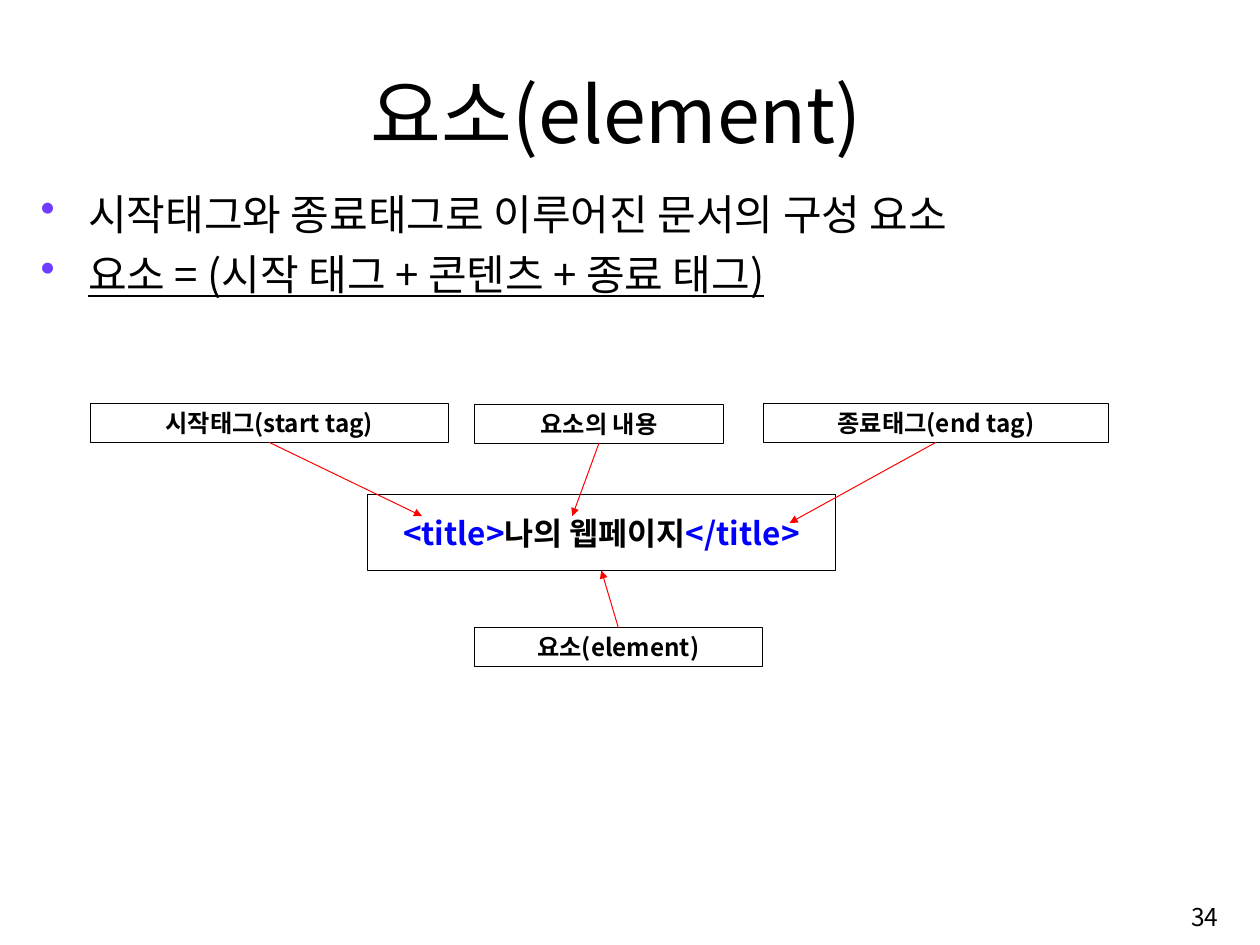
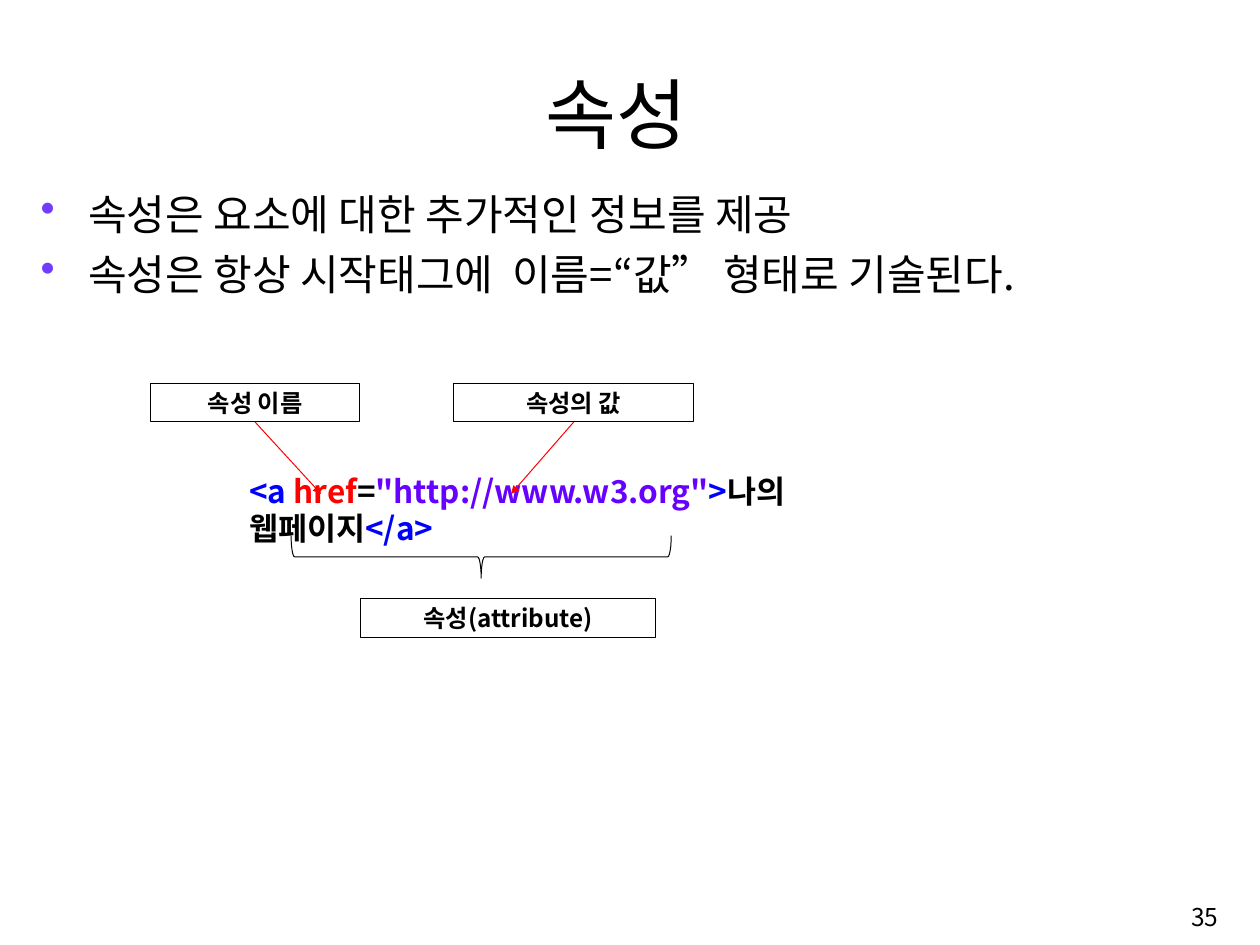
from dataclasses import dataclass
from typing import Optional

import pptx
import pptx.dml.color
import pptx.enum.shapes
import pptx.enum.text
import pptx.oxml
import pptx.oxml.ns
import pptx.util

Pt = pptx.util.Pt
RGBColor = pptx.dml.color.RGBColor
ALIGN = pptx.enum.text.PP_ALIGN
ANCHOR = pptx.enum.text.MSO_ANCHOR
SHAPE = pptx.enum.shapes.MSO_SHAPE
NS = pptx.oxml.ns.nsdecls("a")

# Shared style
FONT = "Noto Sans CJK KR"
BLACK = RGBColor(0x00, 0x00, 0x00)
BLUE = RGBColor(0x00, 0x00, 0xFF)
RED = RGBColor(0xFF, 0x00, 0x00)
VIOLET = RGBColor(0x66, 0x00, 0xFF)
BULLET = RGBColor(0x70, 0x3D, 0xFF)
LINE = 0.75
LABEL_HEIGHT = 28.8
CODE_HEIGHT = 56.2
TITLE_AREA = (75.6, 43.9, 763.9, 77.8)
BODY_AREA = (23, 136.1, 887, 508.3)
NUMBER_AREA = (718.6, 658.8, 193, 43.2)


@dataclass
class Run:
    text: str
    color: RGBColor = BLACK
    underline: bool = False


@dataclass
class Label:
    text: str
    left: float
    top: float
    width: float
    target: Optional[tuple[float, float]] = None


@dataclass
class Code:
    left: float
    top: float
    width: float
    runs: list[Run]
    boxed: bool


@dataclass
class Page:
    number: int
    title: str
    bullets: list[Run]
    code: Code
    labels: list[Label]
    brace: Optional[tuple[float, float, float, float]] = None


PAGES = [
    Page(
        34, "요소(element)",
        [Run("시작태그와 종료태그로 이루어진 문서의 구성 요소"),
         Run("요소 = (시작 태그 + 콘텐츠 + 종료 태그)", underline=True)],
        Code(272.9, 367.2, 347, [Run("<title>", BLUE), Run("나의 웹페이지"),
                                 Run("</title>", BLUE)], True),
        [Label("시작태그(start tag)", 67, 299.5, 265.7, (313.2, 383)),
         Label("요소의 내용", 352.1, 300.2, 185, (424.8, 383)),
         Label("종료태그(end tag)", 566.6, 299.5, 256.3, (586.1, 388.1)),
         Label("요소(element)", 352.1, 465.8, 213.8, (446.4, 423.4))],
    ),
    Page(
        35, "속성",
        [Run("속성은 요소에 대한 추가적인 정보를 제공"),
         Run("속성은 항상 시작태그에  이름=“값” 형태로 기술된다.")],
        Code(175.7, 349.9, 551.5, [Run("<a ", BLUE), Run("href", RED), Run("="),
                                   Run('"http://www.w3.org"', VIOLET), Run(">", BLUE),
                                   Run("나의 웹페이지"), Run("</a>", BLUE)], False),
        [Label("속성 이름", 111.6, 284.4, 155.5, (238.3, 366.5)),
         Label("속성의 값", 337, 284.4, 177.8, (379.4, 366.5)),
         Label("속성(attribute)", 267.8, 444.2, 218.9)],
        brace=(341.3, 272.2, 31.7, 282.2),
    ),
]


def add_run(p, run: Run, size: float, bold: bool = False) -> None:
    r = p.add_run()
    r.text = run.text
    r.font.size = Pt(size)
    r.font.bold = bold
    if run.underline:
        r.font.underline = True
    r.font.color.rgb = run.color
    r.font.name = FONT
    ea = pptx.oxml.parse_xml(f'<a:ea {NS} typeface="{FONT}"/>')
    r.font._element.append(ea)


def add_text_box(slide, area: tuple[float, float, float, float], anchor):
    sp = slide.shapes.add_textbox(*map(Pt, area))
    sp.text_frame.word_wrap = True
    sp.text_frame.vertical_anchor = anchor
    return sp


def add_outline(slide, kind, area: tuple[float, float, float, float]):
    sp = slide.shapes.add_shape(kind, *map(Pt, area))
    sp.shadow.inherit = False
    sp.fill.background()
    sp.line.color.rgb = BLACK
    sp.line.width = Pt(LINE)
    sp.text_frame.word_wrap = True
    sp.text_frame.vertical_anchor = ANCHOR.MIDDLE
    return sp


def add_title(slide, text: str) -> None:
    sp = slide.shapes.title
    sp.left, sp.top, sp.width, sp.height = map(Pt, TITLE_AREA)
    tf = sp.text_frame
    tf.auto_size = pptx.enum.text.MSO_AUTO_SIZE.NONE
    tf.vertical_anchor = ANCHOR.BOTTOM
    p = tf.paragraphs[0]
    p.alignment = ALIGN.CENTER
    add_run(p, Run(text), 57.2)


def add_bullets(slide, bullets: list[Run]) -> None:
    tf = add_text_box(slide, BODY_AREA, ANCHOR.TOP).text_frame
    for i, bullet in enumerate(bullets):
        p = tf.add_paragraph() if i else tf.paragraphs[0]
        p.space_before = Pt(7)
        pPr = p._p.get_or_add_pPr()
        pPr.set("marL", str(Pt(35.3)))
        pPr.set("indent", str(-Pt(35.3)))
        pPr.append(pptx.oxml.parse_xml(
            f'<a:buClr {NS}><a:srgbClr val="{BULLET}"/></a:buClr>'))
        pPr.append(pptx.oxml.parse_xml(f'<a:buChar {NS} char="•"/>'))
        add_run(p, bullet, 31.2)


def add_code(slide, code: Code) -> None:
    area = (code.left, code.top, code.width, CODE_HEIGHT)
    if code.boxed:
        sp = add_outline(slide, SHAPE.RECTANGLE, area)
    else:
        sp = add_text_box(slide, area, ANCHOR.MIDDLE)
    tf = sp.text_frame
    tf.margin_left = tf.margin_right = Pt(9.4)
    tf.margin_top = tf.margin_bottom = Pt(4.3)
    p = tf.paragraphs[0]
    p.alignment = ALIGN.CENTER if code.boxed else ALIGN.LEFT
    p.space_before = Pt(5)
    for run in code.runs:
        add_run(p, run, 23.4, bold=True)


def add_label(slide, label: Label):
    area = (label.left, label.top, label.width, LABEL_HEIGHT)
    sp = add_outline(slide, SHAPE.RECTANGLE, area)
    p = sp.text_frame.paragraphs[0]
    p.alignment = ALIGN.CENTER
    add_run(p, Run(label.text), 18, bold=True)
    return sp


def add_arrow(slide, sp, target: tuple[float, float]) -> None:
    """Arrow from the label's top or bottom middle, whichever faces the target."""
    x, y = map(Pt, target)
    cx = slide.shapes.add_connector(
        pptx.enum.shapes.MSO_CONNECTOR.STRAIGHT, sp.left, sp.top, x, y)
    top_site, bottom_site = 0, 2
    cx.begin_connect(sp, bottom_site if y > sp.top else top_site)
    cx.line.color.rgb = RED
    cx.line.width = Pt(LINE)
    cx.line._get_or_add_ln().append(
        pptx.oxml.parse_xml(f'<a:tailEnd {NS} type="triangle"/>'))
    cx._element.spPr.append(pptx.oxml.parse_xml(f"<a:effectLst {NS}/>"))


def add_number(slide, number: int) -> None:
    p = add_text_box(slide, NUMBER_AREA, ANCHOR.MIDDLE).text_frame.paragraphs[0]
    p.alignment = ALIGN.RIGHT
    add_run(p, Run(str(number)), 18.2)


def add_page(prs, page: Page) -> None:
    slide = prs.slides.add_slide(prs.slide_layouts.get_by_name("Title Only"))
    add_title(slide, page.title)
    add_bullets(slide, page.bullets)
    add_code(slide, page.code)
    # Labels first, arrows on top
    boxes = [add_label(slide, label) for label in page.labels]
    for sp, label in zip(boxes, page.labels):
        if label.target:
            add_arrow(slide, sp, label.target)
    if page.brace:
        add_outline(slide, SHAPE.RIGHT_BRACE, page.brace).rotation = 90
    add_number(slide, page.number)


def main() -> None:
    prs = pptx.Presentation()
    prs.slide_width, prs.slide_height = Pt(935.28), Pt(701.28)
    for page in PAGES:
        add_page(prs, page)
    prs.save("out.pptx")


if __name__ == "__main__":
    main()
